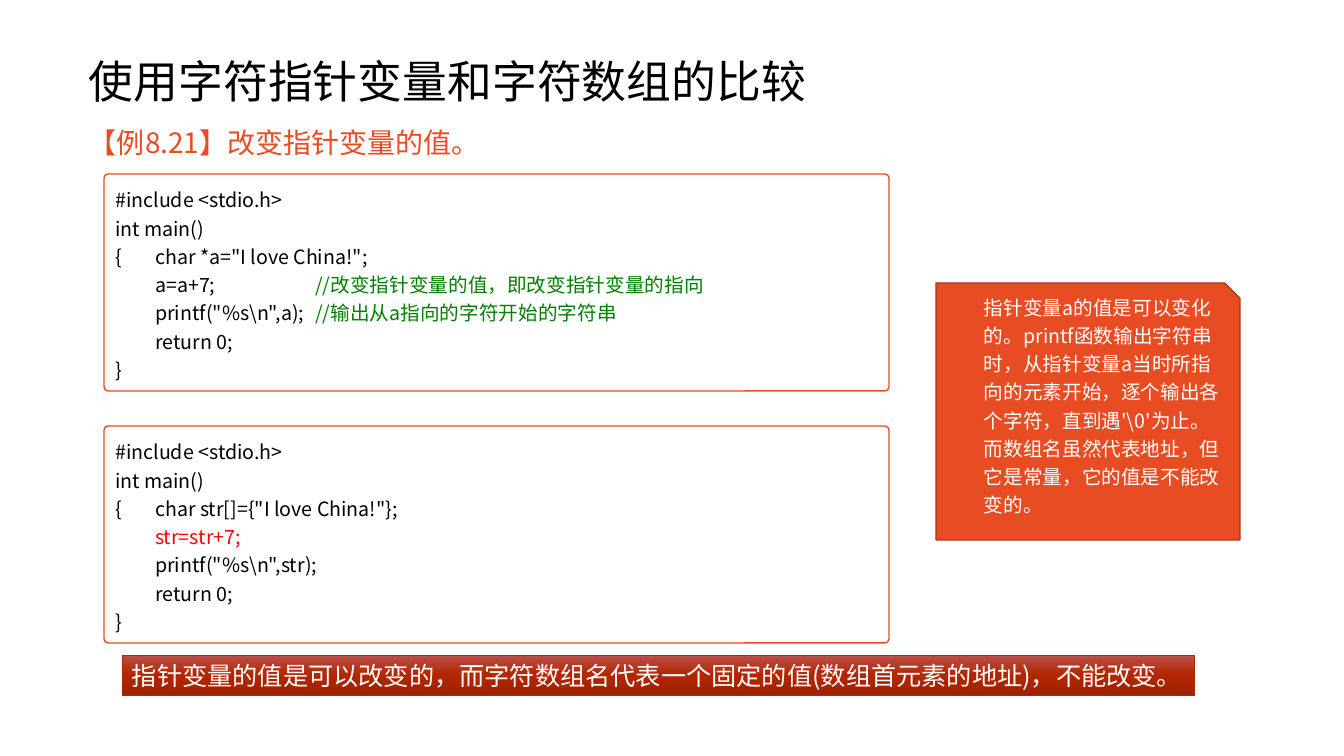
from dataclasses import dataclass

from pptx import Presentation
from pptx.dml.color import RGBColor
from pptx.enum.shapes import MSO_SHAPE as Shape
from pptx.enum.text import MSO_ANCHOR as Anchor, PP_ALIGN as Align
from pptx.oxml.ns import qn
from pptx.util import Pt
from lxml.etree import SubElement

EMU_PER_PX = 12192000 / 1344
FONT = "Noto Sans CJK SC"
ORANGE, GREEN, RED, BLACK, WHITE = "E84C22", "008000", "FF0000", "000000", "FFFFFF"
TAB_STEP, TAB_COUNT = 40, 5

Line = list[tuple[str, str]]


@dataclass(frozen=True)
class Box:
    left: int
    top: int
    width: int
    height: int


@dataclass(frozen=True)
class Label:
    box: Box
    text: str
    size: int
    color: str
    spacing: float = 1.0
    anchor: Anchor = Anchor.TOP


@dataclass(frozen=True)
class CodePanel:
    top: int
    lines: list[Line]


TITLE = Label(Box(79, 32, 1159, 105), "使用字符指针变量和字符数组的比较", 32, BLACK, 0.9, Anchor.MIDDLE)
HEADING = Label(Box(79, 114, 1181, 60), "【例8.21】改变指针变量的值。", 20, ORANGE, 1.2)
NOTE = Label(
    Box(974, 286, 258, 238),
    "指针变量a的值是可以变化的。printf函数输出字符串时，从指针变量a当时所指向的元素开始，"
    "逐个输出各个字符，直到遇'\\0'为止。而数组名虽然代表地址，但它是常量，它的值是不能改变的。",
    14, WHITE, 1.2,
)
BANNER = Label(
    Box(122, 655, 1072, 40),
    "指针变量的值是可以改变的，而字符数组名代表一个固定的值(数组首元素的地址)，不能改变。",
    18, WHITE,
)
OPENING: list[Line] = [[("#include <stdio.h>", BLACK)], [("int main()", BLACK)]]
CLOSING: list[Line] = [[("\treturn 0;", BLACK)], [("}", BLACK)]]
PANELS = [
    CodePanel(174, [
        [('{\tchar *a="I love China!";', BLACK)],
        [("\ta=a+7;\t\t\t", BLACK), ("//改变指针变量的值，即改变指针变量的指向", GREEN)],
        [('\tprintf("%s\\n",a);\t', BLACK), ("//输出从a指向的字符开始的字符串", GREEN)],
    ]),
    CodePanel(426, [
        [('{\tchar str[]={"I love China!"};', BLACK)],
        [("\tstr=str+7;", RED)],
        [('\tprintf("%s\\n",str);', BLACK)],
    ]),
]


def px(length: int) -> int:
    """Convert pixels to EMU."""
    return round(length * EMU_PER_PX)


def rgb(color: str) -> RGBColor:
    """Turn a hex string into a colour."""
    return RGBColor.from_string(color)


def frame(box: Box) -> tuple[int, int, int, int]:
    """Give a box as EMU values."""
    return px(box.left), px(box.top), px(box.width), px(box.height)


def set_font(paragraph, size: int, color: str | None = None) -> None:
    """Set the font of a whole paragraph for Latin and East Asian text."""
    font = paragraph.font
    font.size, font.name = Pt(size), FONT
    if color:
        font.color.rgb = rgb(color)
    for run in paragraph.runs:
        SubElement(run._r.get_or_add_rPr(), qn("a:ea"), typeface=FONT)


def write_label(shape, label: Label) -> None:
    """Write a label into a shape."""
    text_frame = shape.text_frame
    text_frame.word_wrap = True
    text_frame.vertical_anchor = label.anchor
    paragraph = text_frame.paragraphs[0]
    paragraph.text = label.text
    paragraph.alignment = Align.LEFT
    paragraph.line_spacing = label.spacing
    set_font(paragraph, label.size, label.color)


def add_panel(shapes, kind: Shape, box: Box, fill: str, line: str, adjustment: float):
    """Add a filled, outlined shape with shaped corners."""
    shape = shapes.add_shape(kind, *frame(box))
    shape.shadow.inherit = False
    shape.adjustments[0] = adjustment
    shape.fill.solid()
    shape.fill.fore_color.rgb = rgb(fill)
    shape.line.color.rgb = rgb(line)
    shape.line.width = Pt(1)
    return shape


def add_code(shapes, panel: CodePanel) -> None:
    """Add a code panel with evenly spaced tab stops."""
    box = Box(104, panel.top, 785, 217)
    shape = add_panel(shapes, Shape.ROUNDED_RECTANGLE, box, WHITE, ORANGE, 0.02)
    text_frame = shape.text_frame
    text_frame.word_wrap = True
    text_frame.vertical_anchor = Anchor.MIDDLE
    for index, line in enumerate(OPENING + panel.lines + CLOSING):
        paragraph = text_frame.add_paragraph() if index else text_frame.paragraphs[0]
        paragraph.alignment = Align.LEFT
        paragraph.line_spacing = 1.2
        tabs = SubElement(paragraph._p.get_or_add_pPr(), qn("a:tabLst"))
        for stop in range(1, TAB_COUNT + 1):
            SubElement(tabs, qn("a:tab"), pos=str(px(stop * TAB_STEP)), algn="l")
        for text, color in line:
            run = paragraph.add_run()
            run.text = text
            run.font.color.rgb = rgb(color)
        set_font(paragraph, 14)


def add_banner(shapes) -> None:
    """Add the conclusion on a vertical gradient."""
    shape = shapes.add_shape(Shape.RECTANGLE, *frame(BANNER.box))
    shape.shadow.inherit = False
    shape.fill.gradient()
    shape.fill.gradient_angle = 270
    stops = shape.fill._fill._gradFill.find(qn("a:gsLst"))
    stops.clear()
    for position, color in (0, "BB514B"), (50, "B22600"), (100, "9E2200"):
        stop = SubElement(stops, qn("a:gs"), pos=str(position * 1000))
        SubElement(stop, qn("a:srgbClr"), val=color)
    shape.line.color.rgb = rgb("B22600")
    shape.line.width = Pt(0.5)
    write_label(shape, BANNER)


def main() -> None:
    """Build the slide and save it."""
    presentation = Presentation()
    presentation.slide_width, presentation.slide_height = px(1344), px(756)
    slide = presentation.slides.add_slide(presentation.slide_layouts[6])
    shapes = slide.shapes
    write_label(shapes.add_textbox(*frame(TITLE.box)), TITLE)
    add_banner(shapes)
    write_label(shapes.add_textbox(*frame(HEADING.box)), HEADING)
    for panel in PANELS:
        add_code(shapes, panel)
    note = shapes.add_group_shape().shapes
    add_panel(note, Shape.SNIP_1_RECTANGLE, Box(936, 283, 304, 257), ORANGE, "AC3819", 0.06)
    write_label(note.add_textbox(*frame(NOTE.box)), NOTE)
    presentation.save("out.pptx")


if __name__ == "__main__":
    main()
